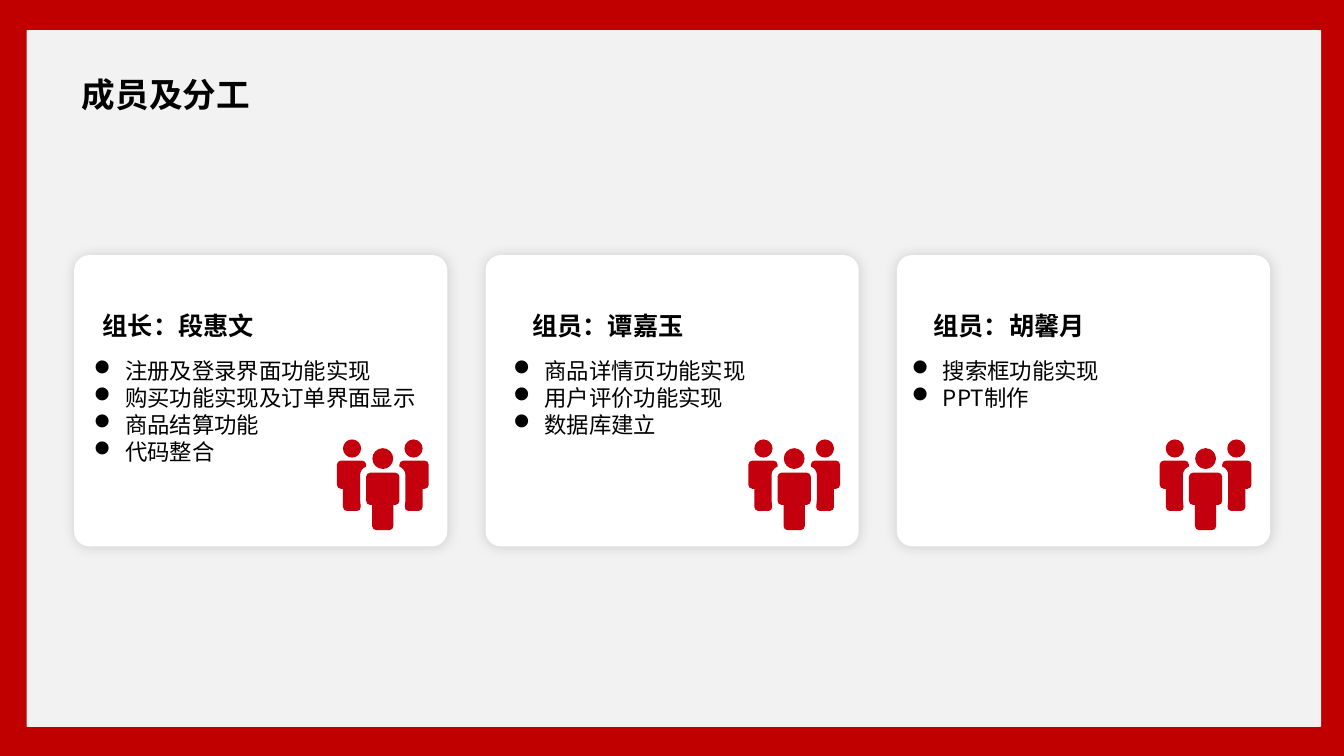
from math import dist
from lxml import etree
from pptx import Presentation
from pptx.dml.color import RGBColor
from pptx.enum.shapes import MSO_SHAPE
from pptx.enum.text import MSO_ANCHOR
from pptx.oxml.ns import qn
from pptx.util import Inches, Pt

ROUND = MSO_SHAPE.ROUNDED_RECTANGLE
TOP, BOTTOM = MSO_ANCHOR.TOP, MSO_ANCHOR.BOTTOM
FONT = "Noto Sans CJK SC"
COLORS = {"frame": "C00000", "panel": "F2F2F2", "card": "FFFFFF",
          "icon": "C4000E", "text": "000000", "shade": "000000"}
UNIT = Inches(0.01)

# Outlines of the team icon: corners as (x, y, radius) in 1/100 inch
BODY = [(29, 33, 4), (62, 33, 4), (62, 65, 4), (56, 65, 0),
        (56, 90, 4), (35, 90, 4), (35, 65, 0), (29, 65, 4)]
SIDE = [(0, 21, 4), (29, 21, 4), (29, 27, 0), (23, 29, 6), (23, 60, 0),
        (24, 71, 4), (6, 71, 4), (6, 49, 0), (0, 49, 4)]


def head(x, y, r):
    """Square whose corners are rounded until it is a circle."""
    return [(x - r, y - r, r), (x + r, y - r, r),
            (x + r, y + r, r), (x - r, y + r, r)]


def flip(shape):
    return [(91 - x, y, r) for x, y, r in shape]


def trace(shape):
    """Turn corners into drawing steps, with a curve at each round one."""
    steps = []
    for i, (x, y, r) in enumerate(shape):
        start, end = [
            (x + (a - x) * r / dist((x, y), (a, b)),
             y + (b - y) * r / dist((x, y), (a, b)))
            for a, b, _ in (shape[i - 1], shape[(i + 1) % len(shape)])]
        steps.append(("lnTo" if i else "moveTo", [start]))
        if r:
            pulls = [(x + (a - x) * 0.45, y + (b - y) * 0.45)
                     for a, b in (start, end)]
            steps.append(("cubicBezTo", [*pulls, end]))
    return steps + [("close", [])]


LEFT = head(15, 9, 9)
TEAM = [BODY, SIDE, flip(SIDE), head(45.5, 19, 10.3), LEFT, flip(LEFT)]


class Deck:
    """Places elements by percent of the slide's width and height."""

    def __init__(self):
        self.prs = Presentation()
        self.prs.slide_width, self.prs.slide_height = Inches(13.33), Inches(7.5)
        self.slide = self.prs.slides.add_slide(self.prs.slide_layouts[6])

    def tint(self, fill, name):
        fill.solid()
        fill.fore_color.rgb = RGBColor.from_string(COLORS[name])

    def spot(self, x, y):
        return (round(self.prs.slide_width * x / 100),
                round(self.prs.slide_height * y / 100))

    def plain(self, shape, color):
        self.tint(shape.fill, color)
        shape.line.fill.background()
        shape.shadow.inherit = False
        return shape

    def box(self, x, y, w, h, color, bend):
        shape = self.slide.shapes.add_shape(
            ROUND, *self.spot(x, y), *self.spot(w, h))
        shape.adjustments[0] = bend
        return self.plain(shape, color)

    def card(self, *place):
        shape = self.box(*place, "card", 0.052)
        glow = etree.SubElement(
            shape._element.spPr.find(qn("a:effectLst")), qn("a:outerShdw"),
            blurRad=str(Pt(10)), dist="0", dir="0", algn="ctr", rotWithShape="0")
        tone = etree.SubElement(glow, qn("a:srgbClr"), val=COLORS["shade"])
        etree.SubElement(tone, qn("a:alpha"), val="15000")

    def icon(self, x, y):
        pen = self.slide.shapes.build_freeform(0, 0)
        pen.add_line_segments([(91 * UNIT, 0), (91 * UNIT, 90 * UNIT)])
        shape = self.plain(pen.convert_to_shape(*self.spot(x, y)), "icon")
        route = next(shape._element.spPr.iter(qn("a:path")))
        for step in list(route):
            route.remove(step)
        for part in TEAM:
            for kind, dots in trace(part):
                step = etree.SubElement(route, qn("a:" + kind))
                for a, b in dots:
                    etree.SubElement(step, qn("a:pt"), x=str(round(a * UNIT)),
                                     y=str(round(b * UNIT)))

    def text(self, x, y, w, h, lines, size, bold=True, dots=False, anchor=TOP):
        frame = self.slide.shapes.add_textbox(
            *self.spot(x, y), *self.spot(w, h)).text_frame
        frame.word_wrap = True
        frame.vertical_anchor = anchor
        frame.text = "\n".join(lines)
        for para in frame.paragraphs:
            if dots:
                props = para._p.get_or_add_pPr()
                props.set("marL", str(Inches(0.31)))
                props.set("indent", str(-Inches(0.31)))
                etree.SubElement(props, qn("a:buFont"), typeface="Wingdings",
                                 pitchFamily="2", charset="2")
                etree.SubElement(props, qn("a:buChar"), char="l")
            for run in para.runs:
                font = run.font
                font.size, font.bold, font.name = Pt(size), bold, FONT
                self.tint(font.fill, "text")
                etree.SubElement(run._r.get_or_add_rPr(), qn("a:ea"),
                                 typeface=FONT)


# Members: name, its left edge, tasks, their left edge
MEMBERS = [
    ("组长：段惠文", 6.9,
     ["注册及登录界面功能实现", "购买功能实现及订单界面显示", "商品结算功能", "代码整合"], 6.25),
    ("组员：谭嘉玉", 38.87, ["商品详情页功能实现", "用户评价功能实现", "数据库建立"], 37.45),
    ("组员：胡馨月", 68.72, ["搜索框功能实现", "PPT制作"], 67.1),
]
START, STEP = 5.52, 30.61

deck = Deck()

# Frame and title
deck.tint(deck.slide.background.fill, "frame")
deck.box(1.98, 4, 96.32, 92.13, "panel", 0.001)
deck.text(5.35, 9.07, 24.6, 6.67, ["成员及分工"], 24)

# Member cards
for i, (name, edge, tasks, left) in enumerate(MEMBERS):
    x = START + i * STEP
    deck.card(x, 33.75, 27.76, 38.53)
    deck.icon(x + 19.55, 58.13)
    deck.text(edge, 38.8, 16.58, 6.93, [name], 18, anchor=BOTTOM)
    deck.text(left, 46.58, 27.08, 16.53, tasks, 16, bold=False, dots=True)

deck.prs.save("out.pptx")
